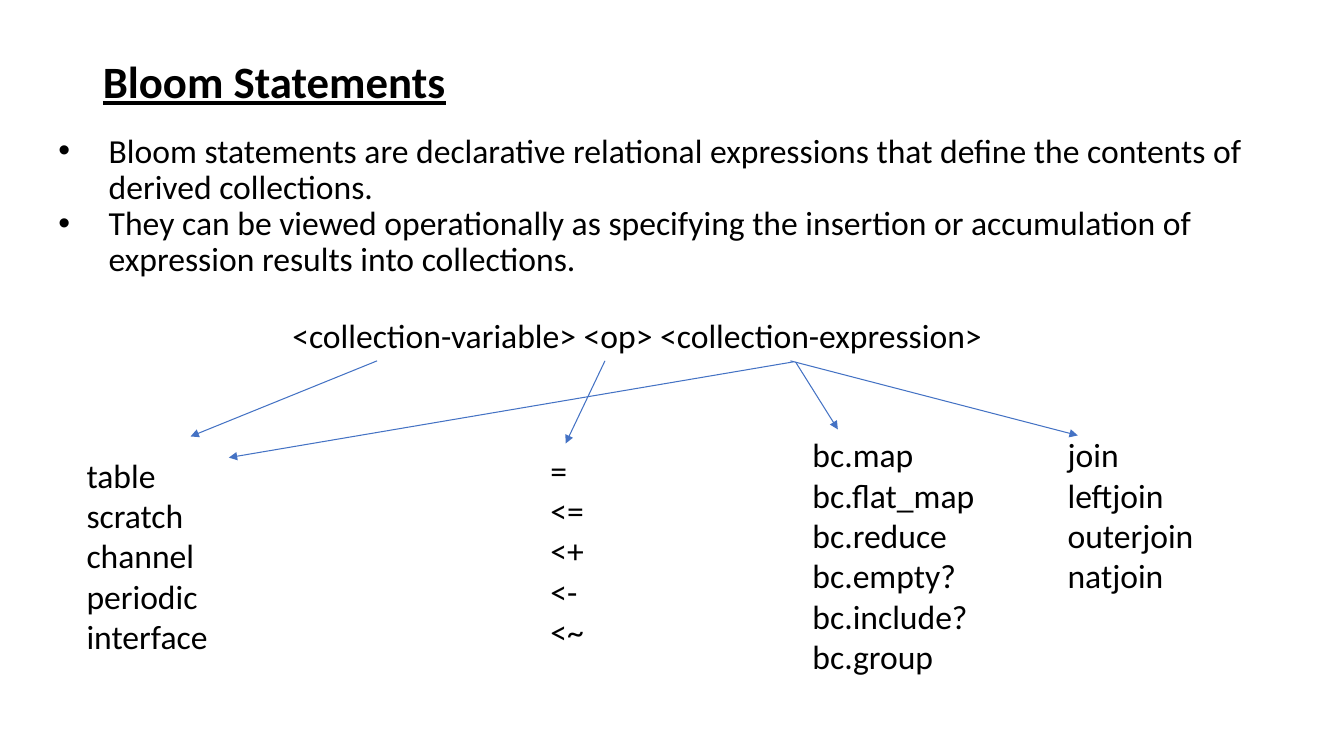
from lxml import etree
from pptx import Presentation
from pptx.dml.color import RGBColor
from pptx.enum.shapes import MSO_CONNECTOR
from pptx.enum.text import MSO_ANCHOR, MSO_AUTO_SIZE, PP_ALIGN
from pptx.oxml.ns import qn
from pptx.util import Pt

LEFT, CENTER = PP_ALIGN.LEFT, PP_ALIGN.CENTER
MIDDLE = MSO_ANCHOR.MIDDLE
NONE, GROW = MSO_AUTO_SIZE.NONE, MSO_AUTO_SIZE.SHAPE_TO_FIT_TEXT
STRAIGHT = MSO_CONNECTOR.STRAIGHT

SCALE = 9144
COLORS = {"text": "000000", "arrow": "4472C4"}

POINTS = [
    "Bloom statements are declarative relational expressions that define "
    "the contents of derived collections.",
    "They can be viewed operationally as specifying the insertion or "
    "accumulation of expression results into collections.",
]
COLUMNS = [
    ((76, 446, 142, 212), ["table", "scratch", "channel", "periodic", "interface"]),
    ((536, 441, 72, 212), ["=", "<=", "<+", "<-", "<~"]),
    ((796, 426, 212, 252), ["bc.map", "bc.flat_map", "bc.reduce", "bc.empty?",
                            "bc.include?", "bc.group"]),
    ((1049, 426, 212, 172), ["join", "leftjoin", "outerjoin", "natjoin"]),
]
ARROWS = [
    (374, 358, 189, 433),
    (600, 358, 561, 440),
    (787, 359, 227, 454),
    (789, 359, 831, 426),
    (784, 358, 1069, 432),
]


def px(*sizes):
    """Turn lengths in px into EMU."""
    return [size * SCALE for size in sizes]


class Board:
    """Hold the style and the slide being drawn."""

    def __init__(self, deck, font="Calibri", size=24):
        """Add a title-only slide to the deck."""
        self.slide = deck.slides.add_slide(deck.slide_layouts[5])
        self.shapes = self.slide.shapes
        self.font, self.size = font, size

    def style(self, para, size=None, align=LEFT):
        """Set the font and alignment of a paragraph."""
        para.alignment = align
        para.font.name = self.font
        para.font.size = Pt(size or self.size)
        para.font.color.rgb = RGBColor.from_string(COLORS["text"])

    def title(self, box, text):
        """Move and format the title placeholder."""
        shape = self.shapes.title
        shape.left, shape.top, shape.width, shape.height = px(*box)
        frame = shape.text_frame
        frame.text = text
        frame.vertical_anchor = MIDDLE
        frame.auto_size = NONE
        para = frame.paragraphs[0]
        para.line_spacing = 0.9
        self.style(para, 32)
        para.font.bold = para.font.underline = True

    def text(self, box, lines, align=LEFT, fit=GROW):
        """Add a text box with one paragraph a line."""
        frame = self.shapes.add_textbox(*px(*box)).text_frame
        frame.text = "\n".join(lines)
        frame.word_wrap = True
        frame.auto_size = fit
        for para in frame.paragraphs:
            self.style(para, align=align)
        return frame

    def bullets(self, box, lines, indent=50):
        """Add a text box with a bullet on each paragraph."""
        shift, = px(indent)
        for para in self.text(box, lines, fit=NONE).paragraphs:
            para.line_spacing = 0.9
            base = para.font._element
            props = base.getparent()
            props.set("marL", str(shift))
            props.set("indent", str(-shift))
            base.addprevious(etree.Element(qn("a:buFont"), typeface="Arial"))
            base.addprevious(etree.Element(qn("a:buChar"), char="•"))

    def arrow(self, ends):
        """Add a straight line with an arrowhead at its end."""
        link = self.shapes.add_connector(STRAIGHT, *px(*ends))
        link.line.color.rgb = RGBColor.from_string(COLORS["arrow"])
        link.line.width = Pt(0.75)
        props = link._element.spPr
        etree.SubElement(props.find(qn("a:ln")), qn("a:tailEnd"), type="triangle")
        etree.SubElement(props, qn("a:effectLst"))


def main():
    """Build the slide and save it."""
    deck = Presentation()
    deck.slide_width, deck.slide_height = px(1333, 750)
    board = Board(deck)
    board.title((92, 23, 1150, 121), "Bloom Statements")
    board.bullets((48, 128, 1232, 191), POINTS)
    board.text((270, 308, 724, 50),
               ["<collection-variable> <op> <collection-expression>"], CENTER)
    for box, lines in COLUMNS:
        board.text(box, lines)
    for ends in ARROWS:
        board.arrow(ends)
    deck.save("out.pptx")


if __name__ == "__main__":
    main()
